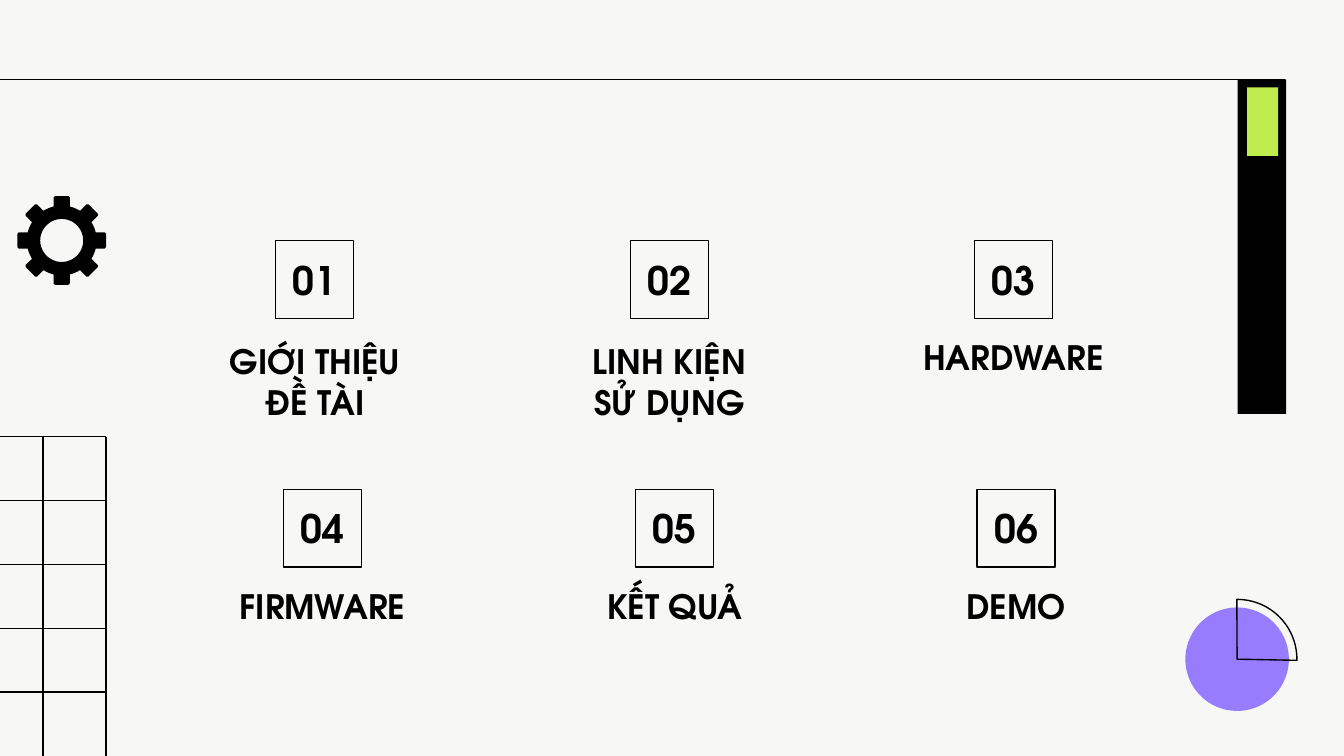
from math import asin, cos, pi, radians, sin

from lxml import etree
from pptx import Presentation
from pptx.dml.color import RGBColor
from pptx.enum.shapes import MSO_CONNECTOR, MSO_SHAPE
from pptx.enum.text import MSO_ANCHOR, MSO_AUTO_SIZE, PP_ALIGN
from pptx.oxml.ns import qn
from pptx.util import Inches, Pt

RECTANGLE, OVAL, PIE = MSO_SHAPE.RECTANGLE, MSO_SHAPE.OVAL, MSO_SHAPE.PIE
STRAIGHT = MSO_CONNECTOR.STRAIGHT
CENTER = PP_ALIGN.CENTER
MIDDLE, BOTTOM = MSO_ANCHOR.MIDDLE, MSO_ANCHOR.BOTTOM
NO_AUTOFIT = MSO_AUTO_SIZE.NONE

FONT = "TeX Gyre Adventor"
BLACK, LIME, VIOLET, PAPER = "000000", "BFED4E", "977DFE", "F7F7F6"
LINE_WIDTH = 0.75
BOX_SIZE = 0.58
UNITS_PER_INCH = 1000

# For each row: top of the boxes, top of the headings, and its entries:
# number, left of its box, heading, left, width and height of the heading
ROWS = [
    (1.79, 2.49, [
        ("01", 2.05, "GIỚI THIỆU ĐỀ TÀI", 1.44, 1.81, 0.75),
        ("02", 4.69, "LINH KIỆN SỬ DỤNG", 4.13, 1.70, 0.75),
        ("03", 7.25, "HARDWARE", 6.52, 2.04, 0.42),
    ]),
    (3.64, 4.34, [
        ("04", 2.11, "FIRMWARE", 1.38, 2.04, 0.42),
        ("05", 4.73, "KẾT QUẢ", 4.00, 2.04, 0.42),
        ("06", 7.27, "DEMO", 6.54, 2.04, 0.42),
    ]),
]


def color(value):
    return RGBColor.from_string(value)


def style_shape(shape, fill=None, line=None):
    shape.shadow.inherit = False
    if fill:
        shape.fill.solid()
        shape.fill.fore_color.rgb = color(fill)
    else:
        shape.fill.background()
    if line:
        shape.line.color.rgb = color(line)
        shape.line.width = Pt(LINE_WIDTH)
    else:
        shape.line.fill.background()


def add_shape(slide, kind, left, top, width, height, **style):
    shape = slide.shapes.add_shape(
        kind, Inches(left), Inches(top), Inches(width), Inches(height))
    style_shape(shape, **style)
    return shape


def add_line(slide, left, top, right, bottom):
    line = slide.shapes.add_connector(
        STRAIGHT, Inches(left), Inches(top), Inches(right), Inches(bottom))
    line.line.color.rgb = color(BLACK)
    line.line.width = Pt(LINE_WIDTH)
    etree.SubElement(line._element.spPr, qn("a:effectLst"))


def write_text(shape, text, size=18, anchor=MIDDLE):
    frame = shape.text_frame
    frame.word_wrap = True
    frame.auto_size = NO_AUTOFIT
    frame.vertical_anchor = anchor
    frame.margin_left = frame.margin_right = Inches(0.1)
    frame.margin_top = frame.margin_bottom = Inches(0.1)
    paragraph = frame.paragraphs[0]
    paragraph.alignment = CENTER
    run = paragraph.add_run()
    run.text = text
    run.font.name = FONT
    run.font.size = Pt(size)
    run.font.bold = True
    run.font.color.rgb = color(BLACK)


def add_number(slide, text, left, top):
    """The first number is the slide's title; the others are plain boxes."""
    title = slide.shapes.title
    if not title.text_frame.text:
        box = title
        box.left, box.top = Inches(left), Inches(top)
        box.width = box.height = Inches(BOX_SIZE)
        style_shape(box, line=BLACK)
    else:
        box = add_shape(slide, RECTANGLE, left, top, BOX_SIZE, BOX_SIZE, line=BLACK)
    write_text(box, text, size=21)


def add_heading(slide, text, left, top, width, height):
    box = slide.shapes.add_textbox(
        Inches(left), Inches(top), Inches(width), Inches(height))
    write_text(box, text, anchor=BOTTOM)


def add_gear(slide, center_x, center_y, teeth=8):
    body, tip, half_tooth, bevel, hole = 0.26, 0.33, 0.06, 0.01, 0.16
    root = asin(half_tooth / body)
    pitch = 2 * pi / teeth
    gap = pitch - 2 * root
    shoulder = [(tip - bevel, half_tooth), (tip, half_tooth - bevel)]
    profile = [(radial, -tangent) for radial, tangent in shoulder] + shoulder[::-1]

    def point(radial, angle, tangent=0):
        x = center_x + radial * cos(angle) - tangent * sin(angle)
        y = center_y + radial * sin(angle) + tangent * cos(angle)
        return x * UNITS_PER_INCH, y * UNITS_PER_INCH

    rim = []
    for tooth in range(teeth):
        angle = tooth * pitch
        rim += [point(radial, angle, tangent) for radial, tangent in profile]
        rim += [point(body, angle + root + gap * step / 4) for step in range(5)]
    inner = [point(hole, -radians(degree)) for degree in range(0, 360, 6)]

    builder = slide.shapes.build_freeform(
        *rim[0], scale=Inches(1) / UNITS_PER_INCH)
    builder.add_line_segments(rim[1:], close=True)
    builder.move_to(*inner[0])
    builder.add_line_segments(inner[1:], close=True)
    style_shape(builder.convert_to_shape(), fill=BLACK)


def add_grid(slide):
    left, right, top, bottom = -0.14, 0.79, 3.25, 5.63
    for row in range(5):
        y = top + row * 0.475
        add_line(slide, left, y, right, y)
    for x in (0.32, right):
        add_line(slide, x, top, x, bottom)


def add_decoration(slide):
    add_grid(slide)
    add_line(slide, -0.05, 0.59, 9.56, 0.59)
    add_gear(slide, 0.46, 1.79)
    add_shape(slide, RECTANGLE, 9.21, 0.59, 0.36, 2.49, fill=BLACK)
    add_shape(slide, RECTANGLE, 9.28, 0.65, 0.23, 0.51, fill=LIME)
    add_shape(slide, OVAL, 8.82, 4.52, 0.77, 0.77, fill=VIOLET)
    quarter = add_shape(slide, PIE, 8.76, 4.46, 0.89, 0.89, line=BLACK)
    # Angles in degrees times 0.6: from the top clockwise to the right
    quarter.adjustments[0] = 269.75 * 0.6
    quarter.adjustments[1] = 1.1 * 0.6


def main():
    presentation = Presentation()
    presentation.slide_width = Inches(10)
    presentation.slide_height = Inches(10) * 9 // 16
    slide = presentation.slides.add_slide(presentation.slide_layouts[5])
    slide.background.fill.solid()
    slide.background.fill.fore_color.rgb = color(PAPER)

    add_decoration(slide)
    for box_top, heading_top, entries in ROWS:
        for number, box_left, heading, left, width, height in entries:
            add_number(slide, number, box_left, box_top)
            add_heading(slide, heading, left, heading_top, width, height)
    presentation.save("out.pptx")


if __name__ == "__main__":
    main()
